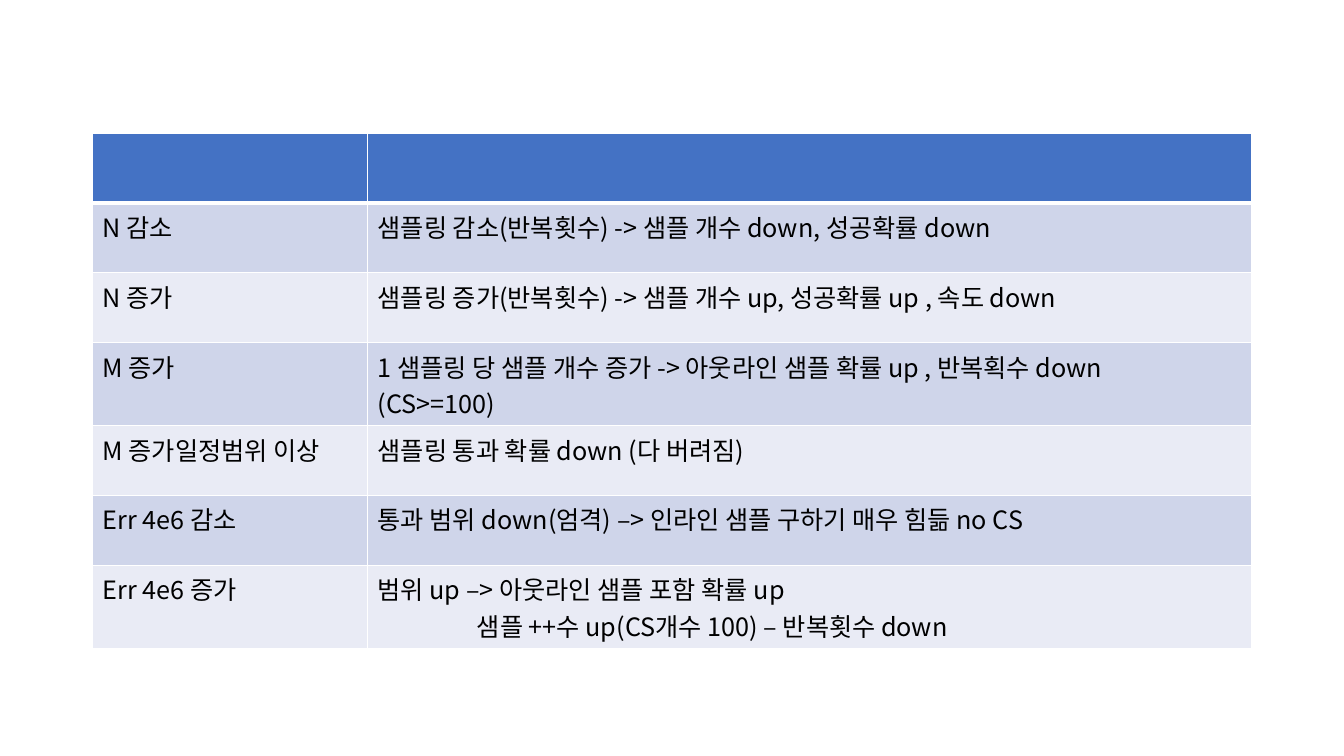
from lxml import etree
from pptx import Presentation
from pptx.dml.color import RGBColor
from pptx.oxml.ns import qn
from pptx.util import Cm, Pt

FONT = "Noto Sans CJK KR"
WHITE = RGBColor(0xFF, 0xFF, 0xFF)
BLACK = RGBColor(0x00, 0x00, 0x00)
HEADER_BLUE = RGBColor(0x44, 0x72, 0xC4)
BANDS = (RGBColor(0xCF, 0xD5, 0xEA), RGBColor(0xE9, 0xEB, 0xF5))
LABEL_SHARE = 2.73 / 11.5
FOLLOW_UP_INDENT = Cm(2.5)

EFFECTS = [
    ("N 감소", ["샘플링 감소(반복횟수) -> 샘플 개수 down, 성공확률 down"]),
    ("N 증가", ["샘플링 증가(반복횟수) -> 샘플 개수 up, 성공확률 up , 속도 down"]),
    ("M 증가", ["1 샘플링 당 샘플 개수 증가 -> 아웃라인 샘플 확률 up , 반복획수 down",
              "(CS>=100)"]),
    ("M 증가일정범위 이상", ["샘플링 통과 확률 down (다 버려짐)"]),
    ("Err 4e6 감소", ["통과 범위 down(엄격) –> 인라인 샘플 구하기 매우 힘듦 no CS"]),
    ("Err 4e6 증가", ["범위 up –> 아웃라인 샘플 포함 확률 up",
                    "샘플 ++수 up(CS개수 100) – 반복횟수 down"]),
]


def write_text(para, text, size=18, color=BLACK, indent=0):
    """Write one formatted line into a paragraph."""
    if indent:
        properties = para._p.get_or_add_pPr()
        properties.set("marL", str(int(indent)))
        properties.set("indent", "0")
    span = para.add_run()
    span.text = text
    span.font.size = Pt(size)
    span.font.color.rgb = color
    span.font.name = FONT
    east_asian = etree.SubElement(span.font._element, qn("a:ea"))
    east_asian.set("typeface", FONT)


def style_cell(cell, fill, top=1, bottom=1):
    """Give a cell its white borders and its fill."""
    properties = cell._tc.get_or_add_tcPr()
    for side, width in (("L", 1), ("R", 1), ("T", top), ("B", bottom)):
        line = etree.SubElement(properties, qn(f"a:ln{side}"), w=str(int(Pt(width))))
        paint = etree.SubElement(line, qn("a:solidFill"))
        etree.SubElement(paint, qn("a:srgbClr"), val=str(WHITE))
    cell.fill.solid()
    cell.fill.fore_color.rgb = fill


def add_effects_table(page, left, top, width, height):
    """Place the table of parameter changes and their effects in the given box."""
    frame = page.shapes.add_table(len(EFFECTS) + 1, 2, left, top, width, height)
    table = frame.table
    table.columns[0].width = int(width * LABEL_SHARE)
    table.columns[1].width = width - table.columns[0].width
    for cell in table.rows[0].cells:
        style_cell(cell, HEADER_BLUE, bottom=3)
    for index, (label, lines) in enumerate(EFFECTS):
        label_cell, effect_cell = table.rows[index + 1].cells
        for cell in (label_cell, effect_cell):
            style_cell(cell, BANDS[index % 2], top=1 if index else 3)
        write_text(label_cell.text_frame.paragraphs[0], label)
        for number, text in enumerate(lines):
            box = effect_cell.text_frame
            para = box.add_paragraph() if number else box.paragraphs[0]
            is_follow_up = number > 0 and not text.startswith("(")
            write_text(para, text, indent=FOLLOW_UP_INDENT if is_follow_up else 0)


def main():
    """Build the deck and save it."""
    deck = Presentation()
    deck.slide_width = Cm(33.87)
    deck.slide_height = Cm(19.05)
    page = deck.slides.add_slide(deck.slide_layouts[6])
    add_effects_table(page, Cm(2.33), Cm(3.35), Cm(29.21), Cm(12.34))
    deck.save("out.pptx")


if __name__ == "__main__":
    main()
